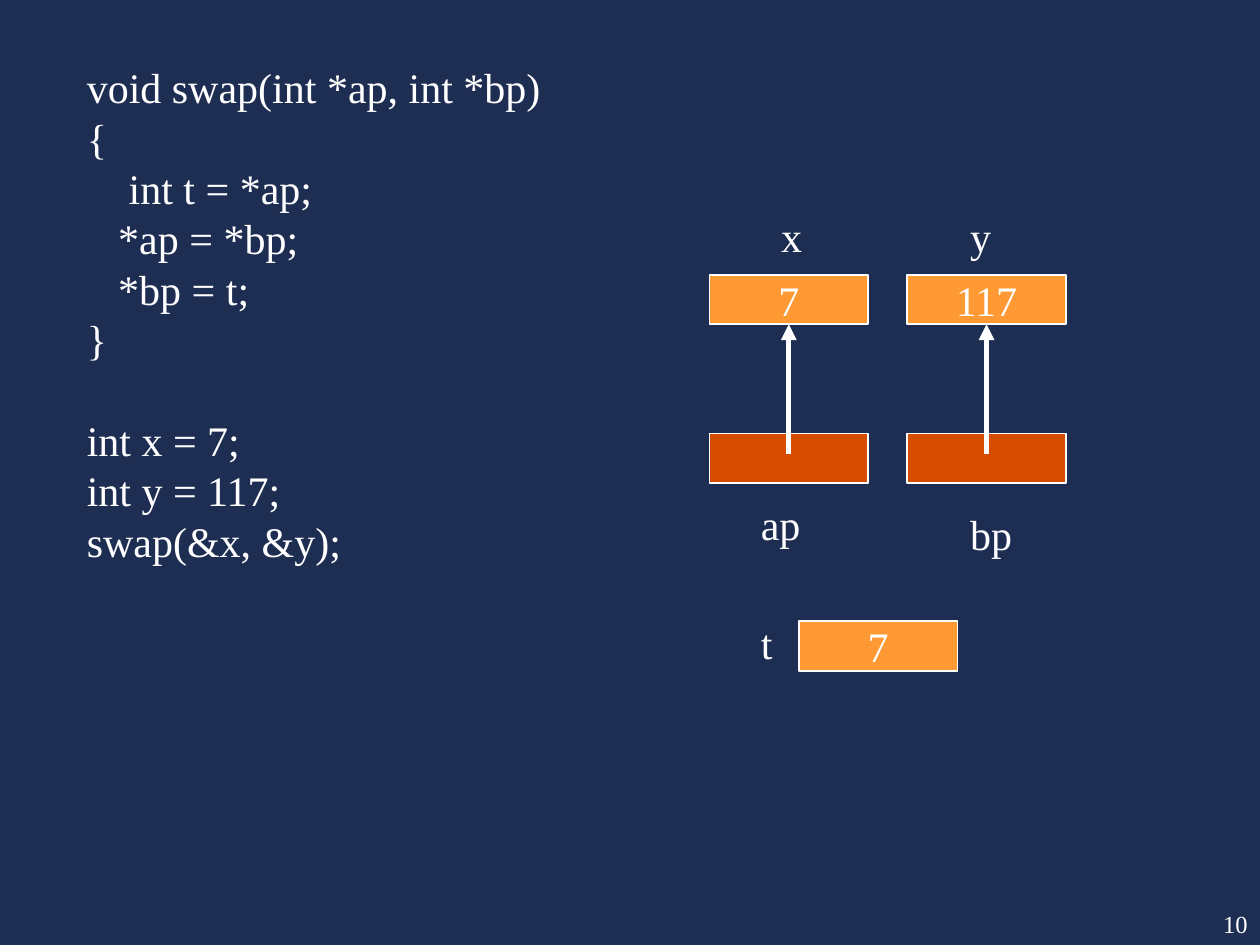
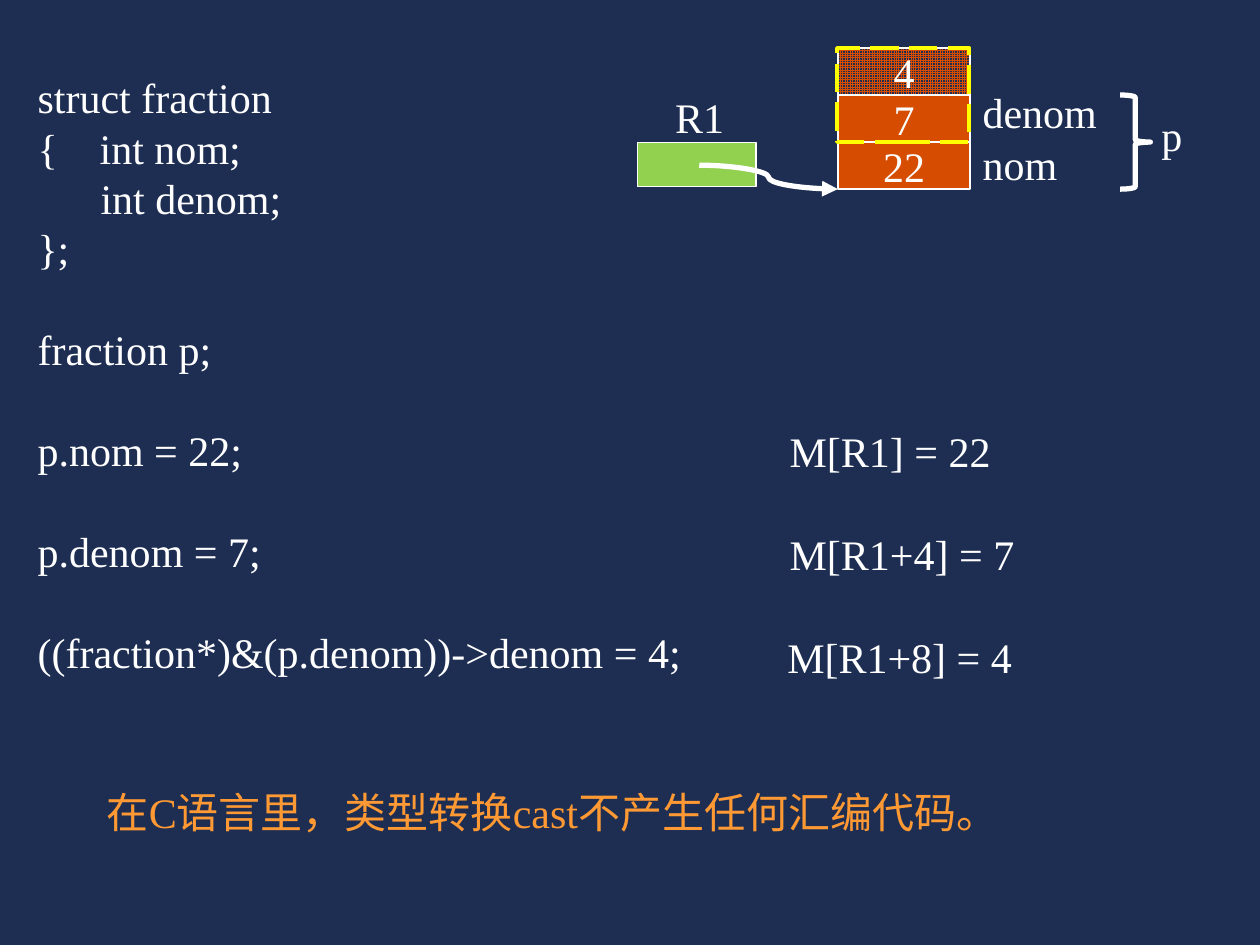
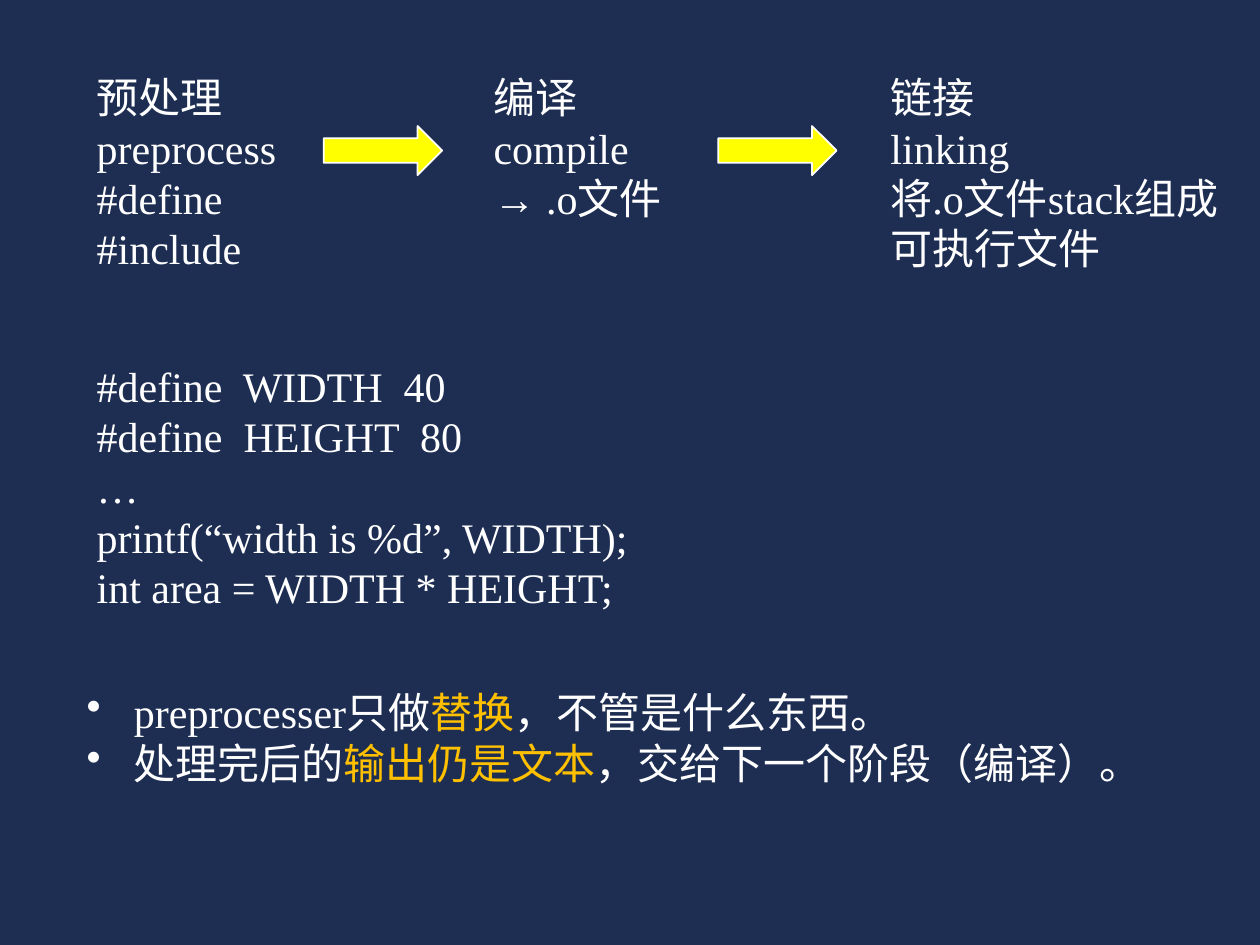
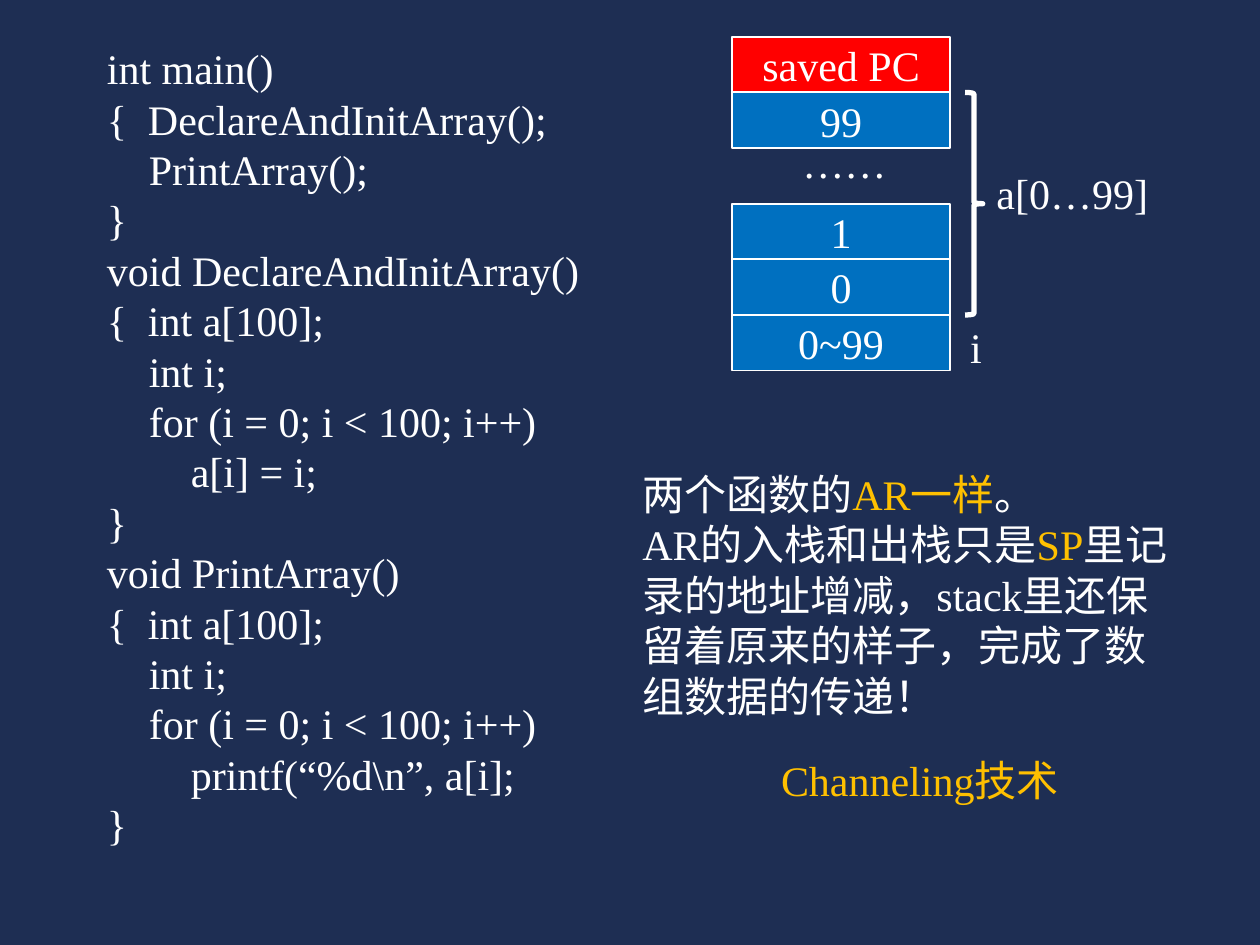
from lxml import etree
from pptx import Presentation
from pptx.dml.color import RGBColor
from pptx.enum.dml import MSO_LINE, MSO_PATTERN
from pptx.enum.shapes import MSO_CONNECTOR as CONN, MSO_SHAPE as SHAPE
from pptx.enum.text import MSO_ANCHOR as ANCHOR, MSO_AUTO_SIZE as FIT, PP_ALIGN as ALIGN
from pptx.oxml.ns import qn
from pptx.util import Pt

NAVY, WHITE, ORANGE, RUST = "1E2E53", "FFFFFF", "FF9933", "D64C00"
GREEN, YELLOW, GOLD, RED, BLUE = "92D050", "FFFF00", "FFC000", "FF0000", "0070C0"
FONT = "Times New Roman"
LINE_HEIGHT = 28.8


def rgb(value):
    return RGBColor.from_string(value)


def points(*values):
    return [Pt(v) for v in values]


def add_bullet(p):
    pPr = p._p.get_or_add_pPr()
    pPr.set("marL", str(Pt(27)))
    pPr.set("indent", str(-Pt(27)))
    etree.SubElement(pPr, qn("a:buChar")).set("char", "•")


def write(tf, lines, color=WHITE, size=24, align=ALIGN.LEFT, bullets=False):
    """Fill a frame; "" leaves a one-line gap, and text between bars is gold."""
    gap, p = 0, None
    for line in lines:
        if not line:
            gap += LINE_HEIGHT
            continue
        p = tf.paragraphs[0] if p is None else tf.add_paragraph()
        if bullets:
            add_bullet(p)
        p.alignment = align
        p.line_spacing = Pt(LINE_HEIGHT)
        if gap:
            p.space_before = Pt(gap)
        gap = 0
        for i, part in enumerate(line.split("|")):
            if part:
                r = p.add_run()
                r.text = part
                r.font.name, r.font.size = FONT, Pt(size)
                r.font.color.rgb = rgb(GOLD if i % 2 else color)


def add_text(shapes, box, *lines, **style):
    tf = shapes.add_textbox(*points(*box)).text_frame
    tf.word_wrap = True
    tf.auto_size = FIT.SHAPE_TO_FIT_TEXT
    write(tf, lines, **style)
    return tf


def add_box(shapes, box, fill=None, text="", kind=SHAPE.RECTANGLE, line=WHITE, width=1):
    sp = shapes.add_shape(kind, *points(*box))
    sp.shadow.inherit = False
    if fill:
        sp.fill.solid()
        sp.fill.fore_color.rgb = rgb(fill)
    else:
        sp.fill.background()
    sp.line.color.rgb = rgb(line)
    sp.line.width = Pt(width)
    if text:
        sp.text_frame.vertical_anchor = ANCHOR.MIDDLE
        write(sp.text_frame, [text], align=ALIGN.CENTER)
    return sp


def add_brace(shapes, box):
    add_box(shapes, box, kind=SHAPE.RIGHT_BRACE, width=3)


def add_arrow(shapes, kind, *ends):
    line = shapes.add_connector(kind, *points(*ends))
    line.line.color.rgb = rgb(WHITE)
    line.line.width = Pt(3)
    etree.SubElement(line.line._get_or_add_ln(), qn("a:tailEnd")).set("type", "triangle")
    etree.SubElement(line._element.spPr, qn("a:effectLst"))
    return line


def pointer_diagram(shapes, x, y):
    """Variables x and y above the pointers that hold their addresses."""
    w, h, step, drop = 90.7, 28.3, 113, 90.7
    for i, value in enumerate(("7", "117")):
        left = x + i * step
        variable = add_box(shapes, (left, y, w, h), ORANGE, value)
        add_box(shapes, (left, y + drop, w, h), RUST)
        middle = left + w / 2
        arrow = add_arrow(shapes, CONN.STRAIGHT, middle, y + 102.5, middle, y + h)
        arrow.end_connect(variable, 2)
    add_box(shapes, (x + 51.1, y + 198, w, h), ORANGE, "7")
    labels = (("x", 33.8, -40.4), ("y", 141.8, -40.4), ("ap", 22.3, 124.5),
              ("bp", 141.8, 130.3), ("t", 22.3, 192.2))
    for name, dx, dy in labels:
        add_text(shapes, (x + dx, y + dy, 39.6, 36), name)


def swap_slide(s):
    number = add_text(s.shapes, (570.2, 504, 149.8, 36), "10", size=14, align=ALIGN.RIGHT)
    number.auto_size = FIT.NONE
    number.vertical_anchor = ANCHOR.MIDDLE
    add_text(s.shapes, (42.5, 31.7, 408, 298),
             "void swap(int *ap, int *bp)", "{", "    int t = *ap;", "   *ap = *bp;",
             "   *bp = t;", "}", "", "int x = 7;", "int y = 117;", "swap(&x, &y);")
    pointer_diagram(s.shapes, 405.4, 157)


def struct_memory(shapes, x, y):
    """Memory cells of p, the overlapping cast and the register R1."""
    w, h = 75.6, 26.9
    add_box(shapes, (x - 114.5, y + 54, 67.7, 25.2), GREEN)
    add_text(shapes, (x - 100.1, y + 21.6, 42.5, 36), "R1")
    add_arrow(shapes, CONN.CURVE, x - 79.2, y + 67, x, y + 3 * h)
    cells = [add_box(shapes, (x, y + i * h, w, h), RUST, value)
             for i, value in enumerate(("4", "7", "22"))]
    overrun = cells[0].fill
    overrun.patterned()
    overrun.pattern = MSO_PATTERN.SMALL_GRID
    overrun.fore_color.rgb, overrun.back_color.rgb = rgb(RUST), rgb(NAVY)
    cast = add_box(shapes, (x - 0.5, y, w, 2 * h), line=YELLOW, width=2)
    cast.line.dash_style = MSO_LINE.LONG_DASH
    add_text(shapes, (x + w, y + 18.7, 80.6, 36), "denom")
    add_text(shapes, (x + w, y + 48.2, 57.6, 36), "nom")
    add_brace(shapes, (x + 161.3, y + h, 17.3, 2 * h))
    add_text(shapes, (x + 177.8, y + 31.7, 26.6, 36), "p")


def struct_slide(s):
    add_text(s.shapes, (14.4, 37.4, 385.2, 356.4),
             "struct fraction", "{    int nom;", "      int denom;", "};", "",
             "fraction p;", "", "p.nom = 22;", "", "p.denom = 7;", "",
             "((fraction*)&(p.denom))->denom = 4;")
    struct_memory(s.shapes, 478.8, 27.4)
    stores = ((444.2, "M[R1] = 22"), (444.2, "M[R1+4] = 7"), (442.8, "M[R1+8] = 4"))
    for i, (x, store) in enumerate(stores):
        add_text(s.shapes, (x, 239.8 + i * 58.7, 144, 36), store)
    add_text(s.shapes, (54, 445.7, 528.5, 36),
             "在C语言里，类型转换cast不产生任何汇编代码。", color=ORANGE)


def build_stages(shapes, x, y):
    """Three build stages in equal columns, joined by block arrows."""
    step = 226.8
    stages = ((118.1, ("预处理", "preprocess", "#define", "#include")),
              (110.9, ("编译", "compile", "→ .o文件")),
              (203.8, ("链接", "linking", "将.o文件stack组成可执行文件")))
    for i, (w, lines) in enumerate(stages):
        add_text(shapes, (x + i * step, y, w, 123.8), *lines)
    for i in range(2):
        add_box(shapes, (x + 136.8 + i * 225.4, y + 34.6, 67.7, 28.1), YELLOW,
                kind=SHAPE.RIGHT_ARROW)


def preprocess_slide(s):
    build_stages(s.shapes, 48.2, 37.4)
    add_text(s.shapes, (48.2, 202.3, 321.1, 152.6),
             "#define  WIDTH  40", "#define  HEIGHT  80", "…",
             "printf(“width is %d”, WIDTH);", "int area = WIDTH * HEIGHT;")
    add_text(s.shapes, (42.5, 388.8, 612, 65.5),
             "preprocesser只做|替换|，不管是什么东西。",
             "处理完后的|输出仍是文本|，交给下一个阶段（编译）。", bullets=True)


def activation_record(shapes, x, y):
    w, h = 124.6, 31.8
    rows = ("saved PC", "99", None, "1", "0", "0~99")
    for i, value in enumerate(rows):
        if value:
            add_box(shapes, (x, y + i * h, w, h), BLUE if i else RED, value)
    add_text(shapes, (x + 33.1, y + 53.3, 63.4, 36), "……")
    add_brace(shapes, (x + 133.2, y + h, 10.1, 4 * h))
    add_text(shapes, (x + 144, y + 71.3, 102.2, 36), "a[0…99]")
    add_text(shapes, (x + 128.9, y + 159, 20.9, 36), "i")


def channeling_slide(s):
    add_text(s.shapes, (54, 20.9, 287.3, 472.3),
             "int main()", "{  DeclareAndInitArray();", "    PrintArray();", "}",
             "void DeclareAndInitArray()", "{  int a[100];", "    int i;",
             "    for (i = 0; i < 100; i++)", "        a[i] = i;", "}",
             "void PrintArray()", "{  int a[100];", "    int i;",
             "    for (i = 0; i < 100; i++)", "        printf(“%d\\n”, a[i];", "}")
    activation_record(s.shapes.add_group_shape().shapes, 418.3, 21)
    add_text(s.shapes, (360, 264.2, 323.3, 152.6),
             "两个函数的|AR一样|。",
             "AR的入栈和出栈只是|SP|里记录的地址增减，stack里还保留着原来的样子，"
             "完成了数组数据的传递！")
    add_text(s.shapes, (439.2, 427.7, 174.2, 36), "Channeling技术", color=GOLD)


def main():
    prs = Presentation()
    prs.slide_width, prs.slide_height = points(720, 540)
    background = prs.slide_master.background.fill
    background.solid()
    background.fore_color.rgb = rgb(NAVY)
    for build in (swap_slide, struct_slide, preprocess_slide, channeling_slide):
        build(prs.slides.add_slide(prs.slide_layouts[6]))
    prs.save("out.pptx")


if __name__ == "__main__":
    main()
